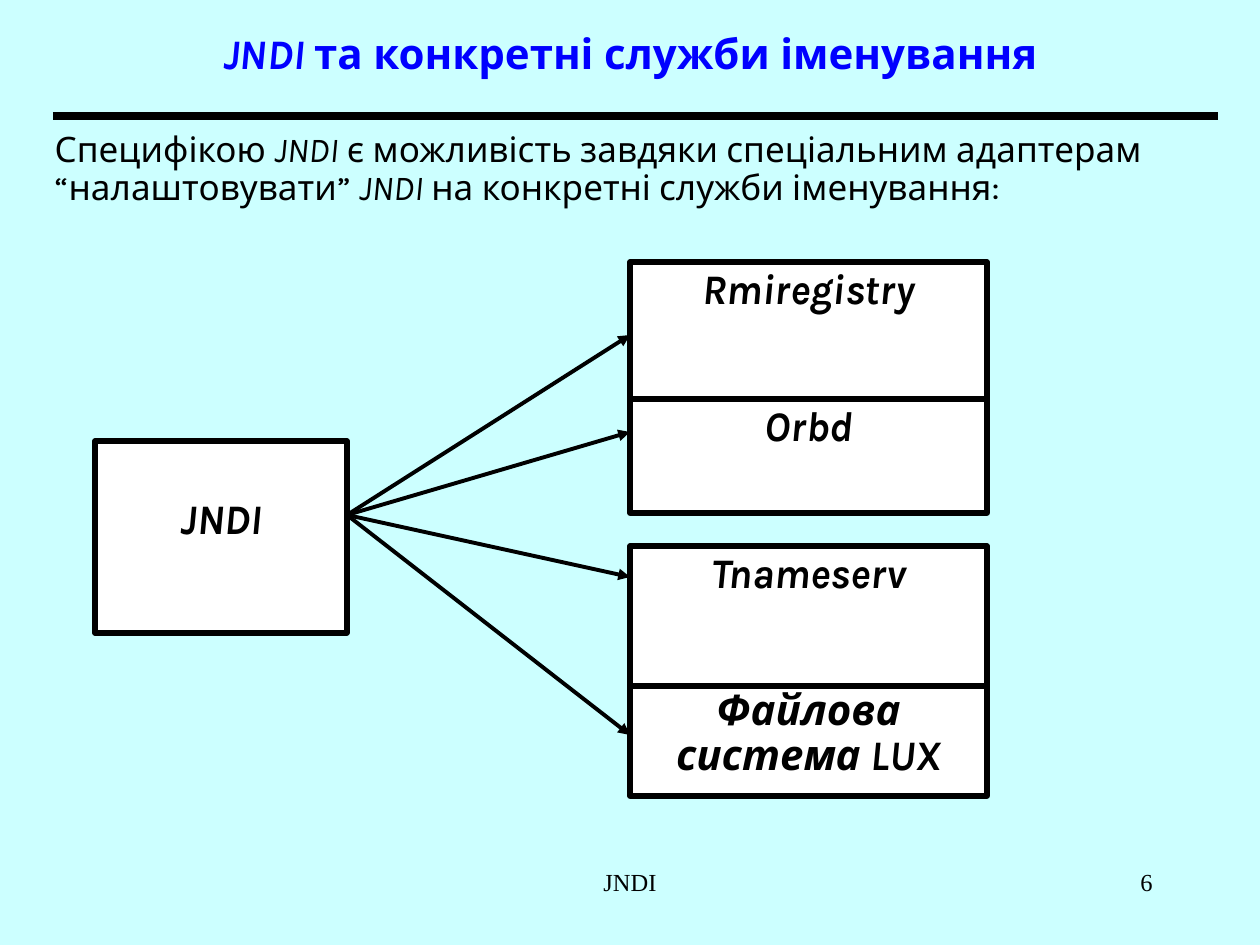
"""Build the slide on JNDI and concrete naming services."""
from dataclasses import dataclass

from lxml import etree
from pptx import Presentation
from pptx import util as u
from pptx.dml.color import RGBColor
from pptx.enum import shapes, text
from pptx.oxml import ns

SCALE = 914400 / 126


@dataclass(frozen=True)
class Theme:
    background: str = "CCFFFF"
    title: str = "0000FF"
    ink: str = "000000"
    box: str = "FFFFFF"
    font: str = "Karla"
    footer_font: str = "Times New Roman"
    heading: int = 24
    body: int = 20
    footer: int = 14
    rule: float = 4.5
    border: float = 3
    arrow: float = 2.25


THEME = Theme()

TITLE = [("JNDI ", True), ("та конкретні служби іменування", False)]
BODY = [
    ("Специфікою ", False), ("JNDI", True),
    (" є можливість завдяки спеціальним адаптерам “налаштовувати” ", False),
    ("JNDI", True), (" на конкретні служби іменування:", False),
]
TITLE_AT = (95, 14, 1071, 84)
BODY_AT = (42, 126, 1134, 714)
RULE = (53, 116, 1218, 116)
SOURCE = ("JNDI", (95, 441, 252, 192), 57)
SERVICE_X, SERVICE_W = 630, 357
SERVICES = [
    ("Rmiregistry", 262, 140, 335),
    ("Orbd", 399, 114, 432),
    ("Файлова система LUX", 683, 113, 735),
    ("Tnameserv", 546, 140, 577),
]
FOOTERS = [
    ("JNDI", (431, 861, 398, 63), text.PP_ALIGN.CENTER),
    ("6", (903, 861, 262, 63), text.PP_ALIGN.RIGHT),
]


def px(*values):
    return [u.Emu(round(v * SCALE)) for v in values]


def color(value):
    return RGBColor.from_string(value)


def place(sp, at):
    sp.left, sp.top, sp.width, sp.height = px(*at)


def write(sp, runs, size, align, fill=THEME.ink, bold=False,
          font=THEME.font, spacing=0.9, anchor=text.MSO_ANCHOR.TOP):
    tf = sp.text_frame
    tf.word_wrap = True
    tf.auto_size = text.MSO_AUTO_SIZE.NONE
    tf.vertical_anchor = anchor
    p = tf.paragraphs[0]
    p.alignment = align
    p.line_spacing = spacing
    p.space_before = u.Pt(0)
    for words, italic in runs:
        r = p.add_run()
        r.text = words
        r.font.name, r.font.size = font, u.Pt(size)
        r.font.bold, r.font.italic = bold, italic
        r.font.color.rgb = color(fill)
    return p


def add_box(s, label, at, inset=6):
    sp = s.shapes.add_shape(shapes.MSO_SHAPE.RECTANGLE, *px(*at))
    sp.shadow.inherit = False
    sp.fill.solid()
    sp.fill.fore_color.rgb = color(THEME.box)
    sp.line.color.rgb = color(THEME.ink)
    sp.line.width = u.Pt(THEME.border)
    write(sp, [(label, True)], THEME.heading, text.PP_ALIGN.CENTER, bold=True)
    sp.text_frame.margin_top = px(inset)[0]


def add_line(s, ends, width, arrow=False):
    sp = s.shapes.add_connector(shapes.MSO_CONNECTOR.STRAIGHT, *px(*ends))
    sp.line.color.rgb = color(THEME.ink)
    sp.line.width = u.Pt(width)
    if arrow:
        ln = sp.line._get_or_add_ln()
        etree.SubElement(ln, ns.qn("a:tailEnd"), type="triangle")
    etree.SubElement(sp._element.spPr, ns.qn("a:effectLst"))


def main():
    prs = Presentation()
    prs.slide_width, prs.slide_height = px(1260, 945)
    s = prs.slides.add_slide(prs.slide_layouts[1])
    s.background.fill.solid()
    s.background.fill.fore_color.rgb = color(THEME.background)

    title, body = s.placeholders
    place(title, TITLE_AT)
    write(title, TITLE, THEME.heading, text.PP_ALIGN.CENTER, THEME.title,
          bold=True, anchor=text.MSO_ANCHOR.MIDDLE)
    add_line(s, RULE, THEME.rule)
    place(body, BODY_AT)
    p = write(body, BODY, THEME.body, text.PP_ALIGN.LEFT)
    body.text_frame.margin_right = 0
    pPr = p._p.get_or_add_pPr()
    pPr.set("marL", "0")
    pPr.set("indent", "0")
    etree.SubElement(pPr, ns.qn("a:buNone"))

    label, at, inset = SOURCE
    add_box(s, label, at, inset)
    start = at[0] + at[2], 515
    for service, top, height, target in SERVICES:
        add_box(s, service, (SERVICE_X, top, SERVICE_W, height))
    for service, top, height, target in SERVICES:
        add_line(s, (*start, SERVICE_X, target), THEME.arrow, arrow=True)

    for words, at, align in FOOTERS:
        sp = s.shapes.add_textbox(*px(*at))
        write(sp, [(words, False)], THEME.footer, align,
              font=THEME.footer_font, spacing=1.0)
    prs.save("out.pptx")


if __name__ == "__main__":
    main()
